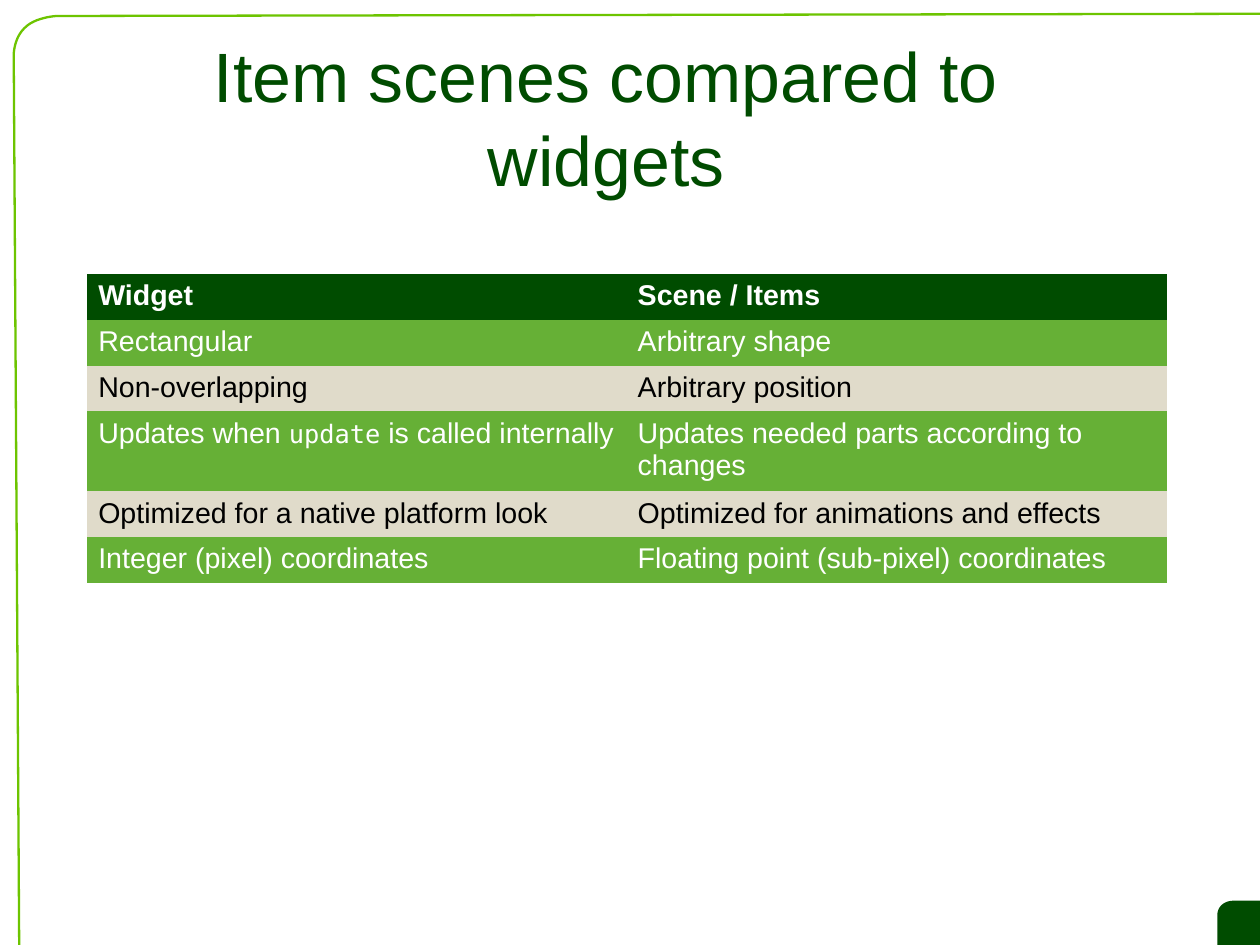
from pptx import Presentation
from pptx.dml.color import RGBColor
from pptx.enum.text import MSO_ANCHOR as Anchor, PP_ALIGN as Align
from pptx.oxml.ns import qn
from pptx.util import Inches, Pt

DARK, GREEN, SAND, LIME = "004C00", "66B036", "E0DBCA", "6DC400"
WHITE, BLACK = "FFFFFF", "000000"
NO_GRID_STYLE = "{2D5ABB26-0587-4C30-8999-92F81FD0307C}"
CM_PER_INCH = 2.54


def color(value):
    return RGBColor.from_string(value)


def curve(start, first, second, end, steps=12):
    """Points along a cubic curve."""
    def at(t, axis):
        u = 1 - t
        return (u**3 * start[axis] + 3 * u * u * t * first[axis]
                + 3 * u * t * t * second[axis] + t**3 * end[axis])
    return [(at(i / steps, 0), at(i / steps, 1)) for i in range(steps + 1)]


class SlideBuilder:
    font = "Arial"
    code_font = "DejaVu Sans Mono"

    def __init__(self, deck):
        self.page = deck.slides.add_slide(deck.slide_layouts[5])

    def span(self, para, text, size, ink, bold=False, font=None):
        run = para.add_run()
        run.text = text
        run.font.name = font or self.font
        run.font.size = Pt(size)
        run.font.bold = bold
        run.font.color.rgb = color(ink)

    def outline(self, points, fill=None, line=None, width=1.45):
        corners = [(Inches(x), Inches(y)) for x, y in points]
        builder = self.page.shapes.build_freeform(*corners[0])
        builder.add_line_segments(corners[1:], close=True)
        shape = builder.convert_to_shape()
        shape.shadow.inherit = False
        if fill:
            shape.fill.solid()
            shape.fill.fore_color.rgb = color(fill)
        else:
            shape.fill.background()
        if line:
            shape.line.color.rgb = color(line)
            shape.line.width = Pt(width)
        else:
            shape.line.fill.background()

    def title(self, text, left, top, width, height):
        box = self.page.shapes.title
        box.left, box.top = Inches(left), Inches(top)
        box.width, box.height = Inches(width), Inches(height)
        box.element.getparent().append(box.element)  # bring to front
        frame = box.text_frame
        frame.word_wrap = True
        frame.vertical_anchor = Anchor.MIDDLE
        frame.margin_left = frame.margin_right = 0
        frame.margin_top = frame.margin_bottom = 0
        para = frame.paragraphs[0]
        para.alignment = Align.CENTER
        self.span(para, text, 44, DARK)

    def table(self, rows, left, top, widths, heights):
        holder = self.page.shapes.add_table(
            len(rows), len(widths), Inches(left), Inches(top),
            Inches(sum(widths)), Inches(sum(heights)))
        for style in holder.element.iter(qn("a:tableStyleId")):
            style.text = NO_GRID_STYLE
        grid = holder.table
        for column, width in zip(grid.columns, widths):
            column.width = Inches(width)
        for index, (row, height) in enumerate(zip(rows, heights)):
            grid.rows[index].height = Inches(height)
            header = index == 0
            fill = DARK if header else GREEN if index % 2 else SAND
            ink = BLACK if fill == SAND else WHITE
            for cell, content in zip(grid.rows[index].cells, row):
                cell.fill.solid()
                cell.fill.fore_color.rgb = color(fill)
                cell.margin_left = cell.margin_right = Inches(0.1)
                cell.margin_top = cell.margin_bottom = Inches(0.05)
                para = cell.text_frame.paragraphs[0]
                # Odd pieces between backticks are code
                for part, text in enumerate(content.split("`")):
                    if part % 2:
                        self.span(para, text, 16, ink, font=self.code_font)
                    else:
                        self.span(para, text, 18, ink, bold=header)


def main():
    # Page of 28 by 21 cm
    deck = Presentation()
    deck.slide_width = Inches(28 / CM_PER_INCH)
    deck.slide_height = Inches(21 / CM_PER_INCH)
    slide = SlideBuilder(deck)

    # Corner block
    slide.outline(
        [(11.1, 7.88)]
        + curve((11.1, 8.15), (11.1, 8.24), (11.03, 8.31), (10.94, 8.31))
        + [(10.65, 8.3)]
        + curve((10.65, 8.01), (10.65, 7.94), (10.7, 7.88), (10.8, 7.88)),
        fill=DARK)

    # Page frame
    slide.outline(
        curve((0.5, 0.14), (0.49, 0.14), (0.3, 0.15), (0.21, 0.25))
        + curve((0.21, 0.25), (0.12, 0.34), (0.12, 0.48), (0.12, 0.48))[1:]
        + [(0.17, 8.55), (11.33, 8.57), (11.27, 0.12)],
        line=LIME)

    # Title and comparison
    slide.title("Item scenes compared to widgets", 1.72, 0.33, 7.17, 1.38)
    comparison = [
        ("Widget", "Scene / Items"),
        ("Rectangular", "Arbitrary shape"),
        ("Non-overlapping", "Arbitrary position"),
        ("Updates when `update` is called internally",
         "Updates needed parts according to changes"),
        ("Optimized for a native platform look",
         "Optimized for animations and effects"),
        ("Integer (pixel) coordinates",
         "Floating point (sub-pixel) coordinates"),
    ]
    slide.table(comparison, 0.76, 2.4, [4.72, 4.73],
                [0.4, 0.4, 0.4, 0.7, 0.4, 0.4])

    deck.save("out.pptx")


if __name__ == "__main__":
    main()
